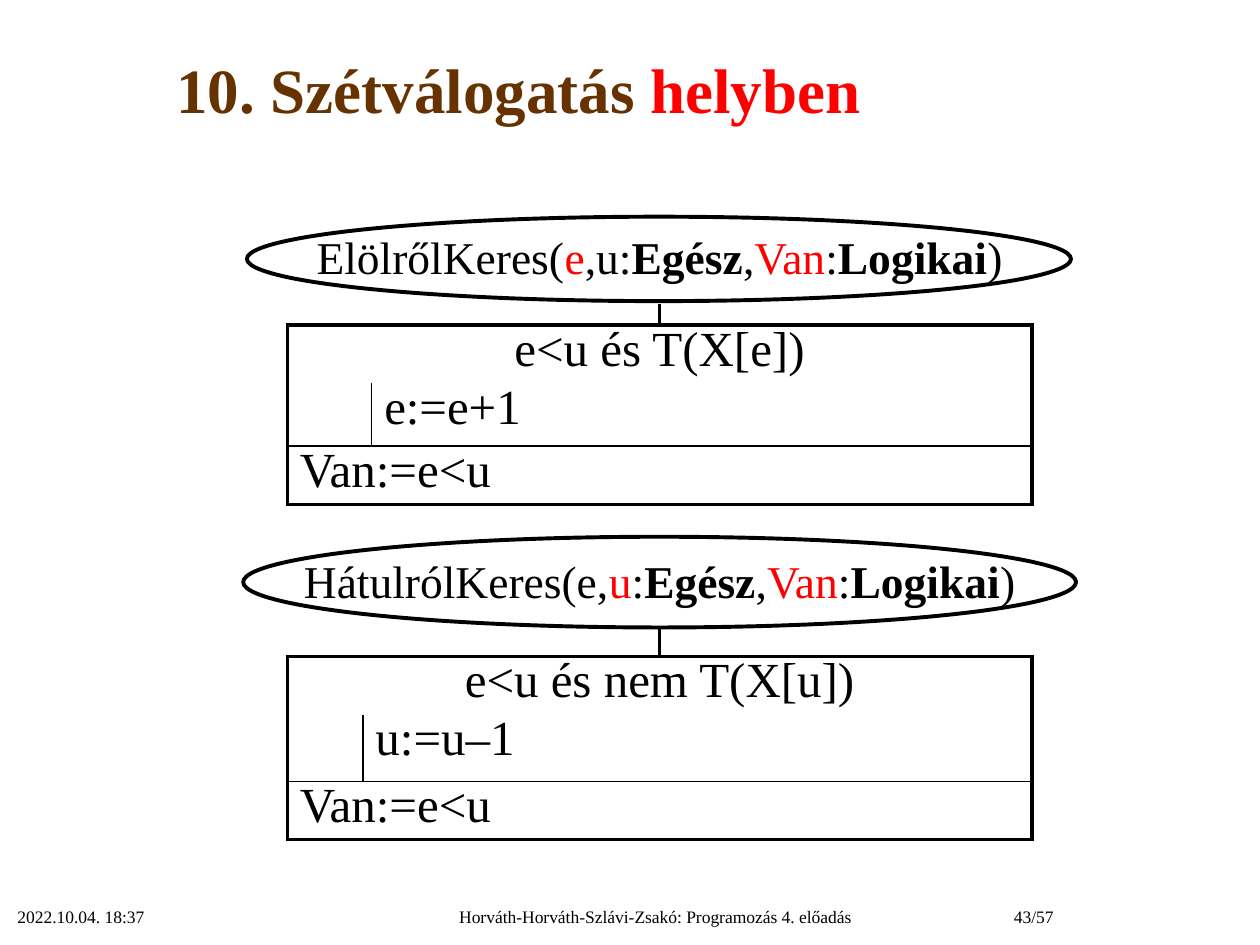
from lxml import etree
from pptx import Presentation
from pptx.dml.color import RGBColor
from pptx.enum.shapes import MSO_SHAPE
from pptx.enum.text import MSO_ANCHOR, PP_ALIGN
from pptx.oxml.ns import qn
from pptx.util import Inches, Pt

LEFT, CENTER, RIGHT = PP_ALIGN.LEFT, PP_ALIGN.CENTER, PP_ALIGN.RIGHT
MIDDLE, TOP = MSO_ANCHOR.MIDDLE, MSO_ANCHOR.TOP
ELLIPSE = MSO_SHAPE.OVAL
FONT = "Times New Roman"
BLACK, RED, BROWN = "000000", "FF0000", "663300"
THICK, THIN = 2.25, 1
SIDES = "LRTB"
TABLE_LEFT, TABLE_WIDTH = 2.28, 5.91


def color(value):
    """Turn a hex string into a colour."""
    return RGBColor.from_string(value)


def add_spans(para, spans, size):
    """Write (text, colour, bold) spans into a paragraph."""
    for text, tint, bold in spans:
        span = para.add_run()
        span.text = text
        span.font.color.rgb = color(tint)
        formats = {"name": FONT, "size": Pt(size), "bold": bold}
        for name, value in formats.items():
            setattr(span.font, name, value)


def add_text(page, place, spans, size, align, anchor=TOP):
    """Add a one-paragraph text box."""
    box = page.shapes.add_textbox(*map(Inches, place))
    frame = box.text_frame
    frame.word_wrap = True
    frame.vertical_anchor = anchor
    para = frame.paragraphs[0]
    para.alignment = align
    add_spans(para, spans, size)


def add_ellipse(page, place):
    """Add the unfilled outline around a procedure header."""
    shape = page.shapes.add_shape(ELLIPSE, *map(Inches, place))
    shape.shadow.inherit = False
    shape.fill.background()
    shape.line.color.rgb = color(BLACK)
    shape.line.width = Pt(THICK)


def set_borders(cell, widths):
    """Draw the given sides of a cell and clear the others."""
    properties = cell._tc.get_or_add_tcPr()
    for index, side in enumerate(SIDES):
        line = etree.Element(qn(f"a:ln{side}"))
        if side in widths:
            line.set("w", str(Pt(widths[side])))
            fill = etree.SubElement(line, qn("a:solidFill"))
            etree.SubElement(fill, qn("a:srgbClr"), val=BLACK)
        else:
            line.set("w", "0")
            etree.SubElement(line, qn("a:noFill"))
        properties.insert(index, line)


def clear_cell(cell):
    """Remove the fill and keep an empty cell from stretching its row."""
    cell.fill.background()
    cell.margin_top = cell.margin_bottom = 0
    para = cell.text_frame.paragraphs[0]
    etree.SubElement(para._p, qn("a:endParaRPr"), sz="200")


def fill_cell(cell, spans, size, formats):
    """Write a formatted paragraph into a cell."""
    cell.margin_top = cell.margin_bottom = Inches(0.05)
    para = cell.text_frame.paragraphs[0]
    for name, value in formats.items():
        setattr(para, name, value)
    para._p.remove(para._p.find(qn("a:endParaRPr")))
    add_spans(para, spans, size)


def add_structogram(page, top, indent, heights, header, condition, step, result):
    """Add a procedure structogram as a table of merged cells."""
    half = TABLE_WIDTH / 2
    widths = [indent, half - indent, half]
    place = (TABLE_LEFT, top, TABLE_WIDTH, sum(heights))
    frame = page.shapes.add_table(len(heights), len(widths), *map(Inches, place))
    table = frame.table
    table.first_row = table.horz_banding = False
    for column, width in zip(table.columns, widths):
        column.width = Inches(width)
    for row, height in zip(table.rows, heights):
        row.height = Inches(height)
    for cell in table.iter_cells():
        clear_cell(cell)

    heading = {"alignment": CENTER, "line_spacing": 1.4, "space_before": Pt(1.3)}
    centered = {"alignment": CENTER, "line_spacing": Pt(26)}
    aligned = {"alignment": LEFT, "line_spacing": Pt(26)}
    layout = [
        (0, 0, 2, {"B": 0}, header, 26, heading),
        (1, 0, 1, {"R": THICK, "B": THICK}, None, 0, {}),
        (1, 2, 2, {"L": THICK, "B": THICK}, None, 0, {}),
        (2, 0, 2, {"L": THICK, "T": THICK, "R": THICK}, condition, 28, centered),
        (3, 0, 0, {"L": THICK, "R": THIN, "B": THIN}, None, 0, {}),
        (3, 1, 2, {"L": THIN, "R": THICK, "B": THIN}, step, 28, aligned),
        (4, 0, 2, {"L": THICK, "T": THIN, "R": THICK, "B": THICK}, result, 28, aligned),
    ]
    for row, first, last, borders, content, size, formats in layout:
        borders = {side: width for side, width in borders.items() if width}
        for column in range(first, last + 1):
            inner = "" if column == first else "L" if column == last else "LR"
            set_borders(table.cell(row, column),
                        {side: width for side, width in borders.items() if side not in inner})
        cell = table.cell(row, first)
        if last > first:
            cell.merge(table.cell(row, last))
        if content:
            spans = [(content, BLACK, False)] if isinstance(content, str) else content
            fill_cell(cell, spans, size, formats)


def main():
    """Build the slide and save it."""
    deck = Presentation()
    deck.slide_width, deck.slide_height = Inches(10), Inches(7.5)
    page = deck.slides.add_slide(deck.slide_layouts[6])

    title = [("10. Szétválogatás ", BROWN, True), ("helyben", RED, True)]
    add_text(page, (0, 0.09, 8.23, 1.22), title, 36, CENTER, MIDDLE)

    types = [(":", BLACK, False), ("Egész", BLACK, True), (",", BLACK, False),
             ("Van", RED, False), (":", BLACK, False), ("Logikai", BLACK, True),
             (")", BLACK, False)]
    forward = [("ElölrőlKeres(", BLACK, False), ("e", RED, False), (",u", BLACK, False)]
    backward = [("HátulrólKeres(e,", BLACK, False), ("u", RED, False)]
    add_structogram(page, 1.65, 0.67, [0.76, 0.17, 0.46, 0.5, 0.46], forward + types,
                    "e<u és T(X[e])", "e:=e+1", "Van:=e<u")
    add_ellipse(page, (1.96, 1.72, 6.54, 0.67))
    add_structogram(page, 4.22, 0.6, [0.76, 0.23, 0.46, 0.53, 0.46], backward + types,
                    "e<u és nem T(X[u])", "u:=u–1", "Van:=e<u")
    add_ellipse(page, (1.93, 4.26, 6.61, 0.72))

    footers = [
        (0.04, 2.08, "2022.10.04. 18:37", LEFT),
        (3.04, 4.32, "Horváth-Horváth-Szlávi-Zsakó: Programozás 4. előadás", CENTER),
        (7.19, 1.27, "43/57", RIGHT),
    ]
    for left, width, text, align in footers:
        add_text(page, (left, 7.14, width, 0.39), [(text, BLACK, False)], 10, align)
    deck.save("out.pptx")


if __name__ == "__main__":
    main()
